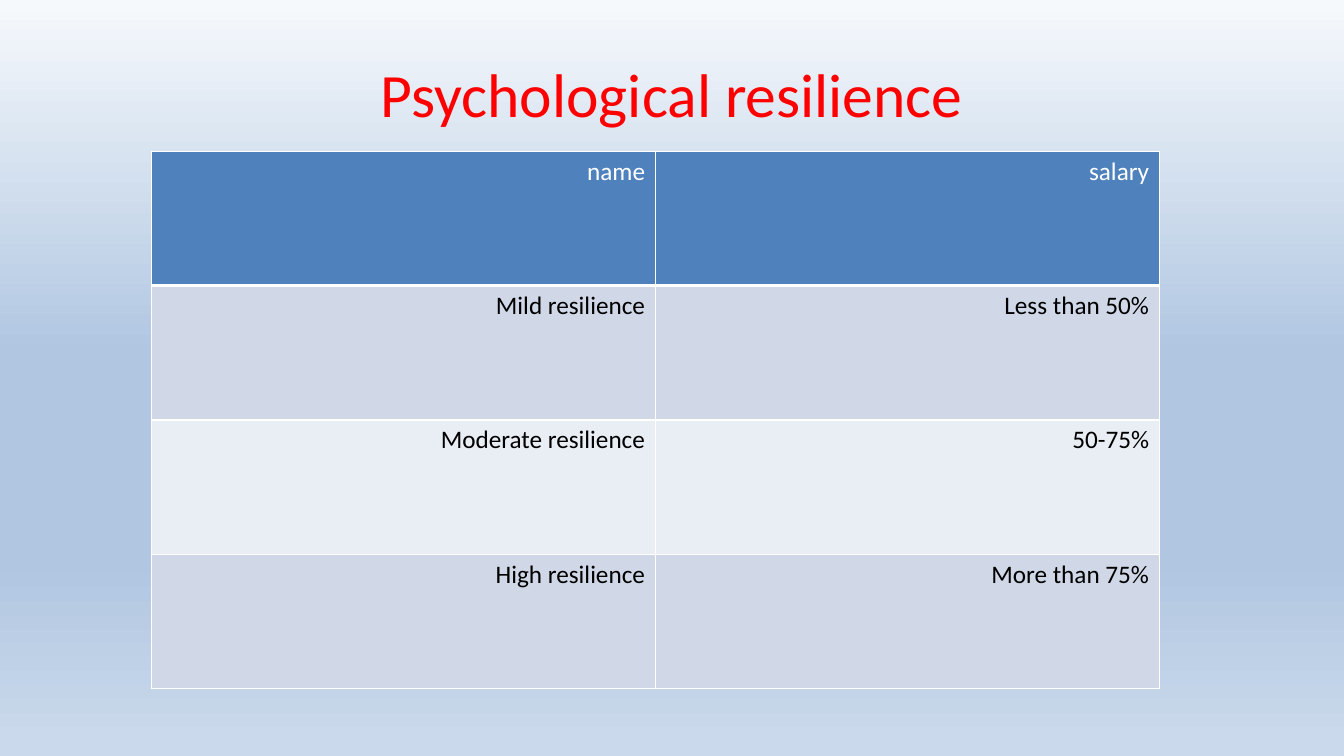
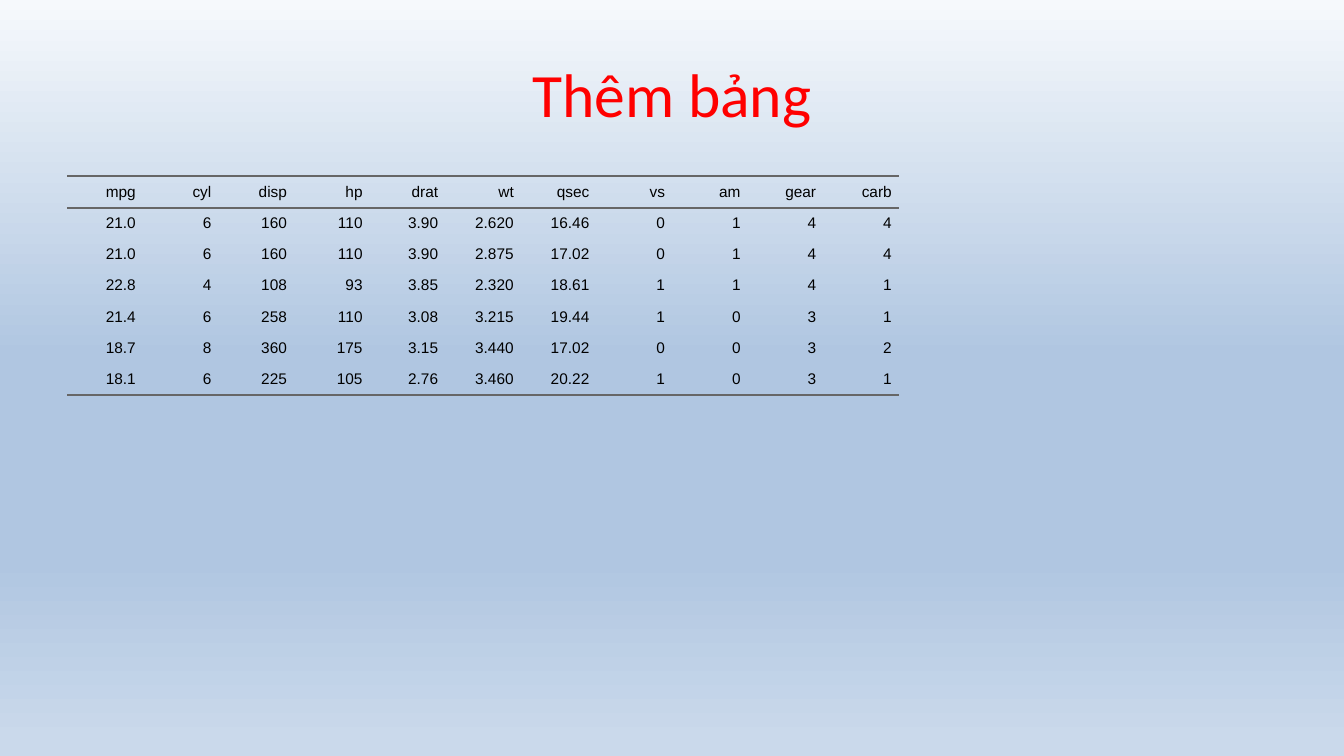
from dataclasses import dataclass

from lxml import etree
from pptx import Presentation
from pptx.dml.color import RGBColor
from pptx.enum.text import MSO_ANCHOR, PP_ALIGN
from pptx.oxml.ns import qn
from pptx.util import Pt

CENTER, RIGHT = PP_ALIGN.CENTER, PP_ALIGN.RIGHT
MIDDLE = MSO_ANCHOR.MIDDLE
TITLE_ONLY = 5


@dataclass(frozen=True)
class Theme:
    title: str = "FF0000"
    text: str = "000000"
    white: str = "FFFFFF"
    header: str = "4F81BD"
    bands: tuple = ("D0D8E8", "E9EDF4")
    rule: str = "666666"
    background: tuple = ((0, "F6F9FC"), (47, "B0C6E1"), (74, "B0C6E1"), (98, "CAD9EB"))
    font: str = "Calibri"
    data_font: str = "Arial"
    title_size: int = 44
    body_size: int = 18
    data_size: int = 11


THEME = Theme()


def add_text(frame, text, alignment, font, size, color):
    paragraph = frame.paragraphs[0]
    paragraph.alignment = alignment
    run = paragraph.add_run()
    run.text = text
    run.font.name = font
    run.font.size = Pt(size)
    run.font.color.rgb = RGBColor.from_string(color)


def set_borders(cell, color, left, right, top, bottom):
    """Draw the four edges of a cell; a width of 0 leaves that edge without a line."""
    properties = cell._tc.get_or_add_tcPr()
    edges = (("a:lnL", left), ("a:lnR", right), ("a:lnT", top), ("a:lnB", bottom))
    for position, (tag, width) in enumerate(edges):
        line = etree.Element(qn(tag), w=str(Pt(width)))
        if width:
            fill = etree.SubElement(line, qn("a:solidFill"))
            etree.SubElement(fill, qn("a:srgbClr"), val=color)
        else:
            etree.SubElement(line, qn("a:noFill"))
        properties.insert(position, line)


presentation = Presentation()
presentation.slide_width, presentation.slide_height = Pt(960), Pt(540)

# Background gradient, shared through the master
master = presentation.slide_master
background_fill = master.background.fill
background_fill.gradient()
background_fill.gradient_angle = 270
stops = master.element.find(".//" + qn("p:bg")).find(".//" + qn("a:gsLst"))
stops.clear()
for percent, color in THEME.background:
    stop = etree.SubElement(stops, qn("a:gs"), pos=str(percent * 1000))
    etree.SubElement(stop, qn("a:srgbClr"), val=color)

# Slides and titles
slides = []
for title_text in ("Psychological resilience", "Thêm bảng"):
    slide = presentation.slides.add_slide(presentation.slide_layouts[TITLE_ONLY])
    title = slide.shapes.title
    title.left, title.top, title.width, title.height = Pt(48), Pt(21.6), Pt(864), Pt(90)
    title.text_frame.vertical_anchor = MIDDLE
    add_text(title.text_frame, title_text, CENTER, THEME.font, THEME.title_size, THEME.title)
    slides.append(slide)
resilience_slide, data_slide = slides

# Resilience table
resilience_rows = (
    ("name", "salary"),
    ("Mild resilience", "Less than 50%"),
    ("Moderate resilience", "50-75%"),
    ("High resilience", "More than 75%"),
)
resilience_table = resilience_slide.shapes.add_table(
    len(resilience_rows), 2, Pt(108), Pt(108), Pt(720), Pt(384)
).table
resilience_table.first_row = resilience_table.horz_banding = False
for row_index, row in enumerate(resilience_rows):
    is_header = row_index == 0
    fill_color = THEME.header if is_header else THEME.bands[(row_index - 1) % 2]
    text_color = THEME.white if is_header else THEME.text
    for column_index, text in enumerate(row):
        cell = resilience_table.cell(row_index, column_index)
        cell.fill.solid()
        cell.fill.fore_color.rgb = RGBColor.from_string(fill_color)
        set_borders(cell, THEME.white, 1, 1, 1, 3 if is_header else 1)
        add_text(cell.text_frame, text, RIGHT, THEME.font, THEME.body_size, text_color)

# Car data table, ruled above and below the header and under the last row
car_rows = (
    ("mpg", "cyl", "disp", "hp", "drat", "wt", "qsec", "vs", "am", "gear", "carb"),
    ("21.0", "6", "160", "110", "3.90", "2.620", "16.46", "0", "1", "4", "4"),
    ("21.0", "6", "160", "110", "3.90", "2.875", "17.02", "0", "1", "4", "4"),
    ("22.8", "4", "108", "93", "3.85", "2.320", "18.61", "1", "1", "4", "1"),
    ("21.4", "6", "258", "110", "3.08", "3.215", "19.44", "1", "0", "3", "1"),
    ("18.7", "8", "360", "175", "3.15", "3.440", "17.02", "0", "0", "3", "2"),
    ("18.1", "6", "225", "105", "2.76", "3.460", "20.22", "1", "0", "3", "1"),
)
row_count, column_count = len(car_rows), len(car_rows[0])
car_table = data_slide.shapes.add_table(
    row_count, column_count, Pt(48), Pt(126), Pt(54 * column_count), Pt(22.3 * row_count)
).table
car_table.first_row = car_table.horz_banding = False
rule_widths = [1.5 if edge in (0, 1, row_count) else 0 for edge in range(row_count + 1)]
for row_index, row in enumerate(car_rows):
    for column_index, text in enumerate(row):
        cell = car_table.cell(row_index, column_index)
        cell.fill.background()
        cell.vertical_anchor = MIDDLE
        cell.margin_left = cell.margin_right = Pt(5)
        cell.margin_top = cell.margin_bottom = Pt(5)
        set_borders(cell, THEME.rule, 0, 0, rule_widths[row_index], rule_widths[row_index + 1])
        add_text(cell.text_frame, text, RIGHT, THEME.data_font, THEME.data_size, THEME.text)

presentation.save("out.pptx")
